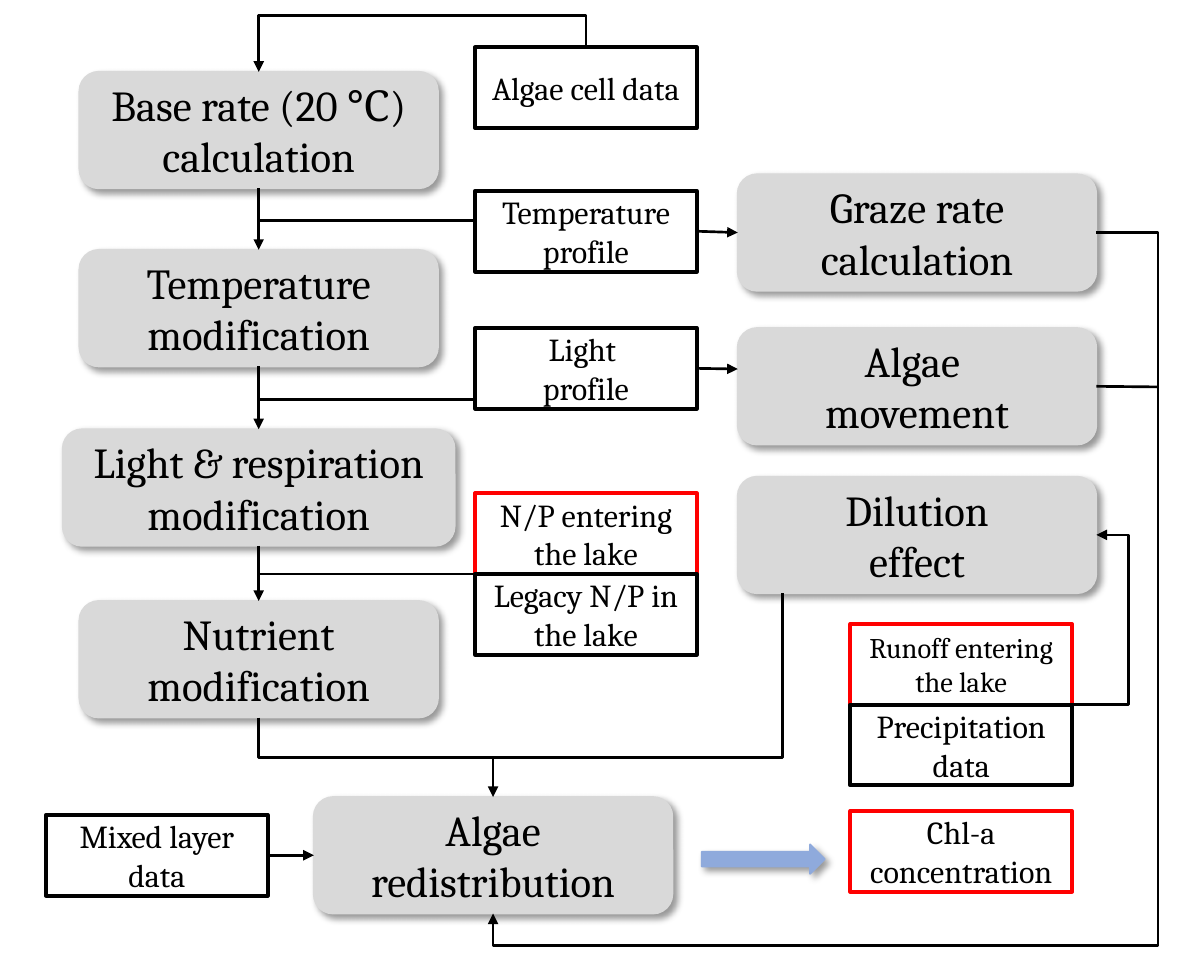
"""Builds the flow chart of an algae growth model on one slide."""
from dataclasses import dataclass
from typing import NamedTuple

from lxml import etree
from pptx import Presentation
from pptx import util as u
from pptx.dml import color
from pptx.enum import shapes, text
from pptx.oxml import ns

COLORS = {
    "black": "000000",
    "white": "FFFFFF",
    "red": "FF0000",
    "gray": "D9D9D9",
    "blue": "8FAADC",
}
FONT = "Cambria"
TOP, LEFT, BOTTOM, RIGHT = range(4)
MAIN_X, DATA_X, SIDE_X, RESULT_X = 0.62, 3.71, 5.76, 6.64
MAIN_AXIS, MERGE_Y, RETURN_X = 2.02, 5.91, 9.04


class Point(NamedTuple):
    x: float
    y: float


class Site(NamedTuple):
    box: str
    side: int


@dataclass(frozen=True)
class Box:
    key: str
    words: str
    left: float
    top: float
    width: float
    height: float
    fill: str
    edge: str
    edge_width: float
    size: int
    preset: shapes.MSO_SHAPE = shapes.MSO_SHAPE.RECTANGLE
    shadow: bool = False


@dataclass(frozen=True)
class Link:
    start: Point | Site
    end: Point | Site
    arrow: bool = True
    bends: tuple[float, ...] = ()
    vertical: bool = False


def step(key: str, words: str, left: float, top: float, width: float = 2.8) -> Box:
    return Box(key, words, left, top, width, 0.91, "gray", "gray", 1, 24,
               shapes.MSO_SHAPE.ROUNDED_RECTANGLE, True)


def data(key: str, words: str, left: float, top: float,
         edge: str = "black", size: int = 18) -> Box:
    return Box(key, words, left, top, 1.73, 0.63, "white", edge, 2.25, size)


BOXES = [
    step("base", "Base rate (20 ℃) calculation", MAIN_X, 0.56),
    step("temperature", "Temperature modification", MAIN_X, 1.95),
    step("light", "Light & respiration\nmodification", 0.49, 3.35, 3.06),
    step("nutrient", "Nutrient\nmodification", MAIN_X, 4.69),
    step("graze", "Graze rate calculation", SIDE_X, 1.36),
    step("movement", "Algae \nmovement", SIDE_X, 2.56),
    step("dilution", "Dilution\neffect", SIDE_X, 3.72),
    step("redistribution", "Algae redistribution", 2.45, 6.22),
    data("cells", "Algae cell data", DATA_X, 0.37),
    data("temperature data", "Temperature profile", DATA_X, 1.49),
    data("light data", "Light \nprofile", DATA_X, 2.56),
    data("entering", "N/P entering the lake", DATA_X, 3.85, "red"),
    data("legacy", "Legacy N/P in the lake", DATA_X, 4.48),
    data("runoff", "Runoff entering the lake", RESULT_X, 4.87, "red", 16),
    data("precipitation", "Precipitation data", RESULT_X, 5.5),
    data("mixed", "Mixed layer\ndata", 0.36, 6.36),
    data("chlorophyll", "Chl-a concentration", RESULT_X, 6.33, "red"),
    Box("output", "", 5.48, 6.59, 0.96, 0.23, "blue", "blue", 1, 18,
        shapes.MSO_SHAPE.RIGHT_ARROW, True),
]
CHAIN = ["base", "temperature", "light", "nutrient"]
LINKS = [
    *(Link(Site(a, BOTTOM), Site(b, TOP)) for a, b in zip(CHAIN, CHAIN[1:])),
    *(Link(Point(DATA_X, y), Point(MAIN_AXIS, y), False) for y in (1.72, 3.12, 4.48)),
    Link(Site("temperature data", RIGHT), Site("graze", LEFT)),
    Link(Site("light data", RIGHT), Point(SIDE_X, 2.88)),
    Link(Site("mixed", RIGHT), Site("redistribution", LEFT)),
    Link(Site("movement", RIGHT), Point(RETURN_X, 3.02), False),
    Link(Site("cells", TOP), Site("base", TOP), True, (0.12,), True),
    Link(Point(8.37, 5.5), Site("dilution", RIGHT), True, (5.5, 8.81), True),
    Link(Site("nutrient", BOTTOM), Site("redistribution", TOP), True, (MERGE_Y,), True),
    Link(Point(6.11, 4.63), Point(3.85, MERGE_Y), False, (MERGE_Y,), True),
    Link(Site("graze", RIGHT), Site("redistribution", BOTTOM), True, (RETURN_X, 7.38)),
]


def rgb(name: str) -> color.RGBColor:
    return color.RGBColor.from_string(COLORS[name])


def write(shape, words: str, *, size: int, ink: str = "black", font: str = FONT) -> None:
    frame = shape.text_frame
    frame.word_wrap = True
    frame.vertical_anchor = text.MSO_ANCHOR.MIDDLE
    for index, line in enumerate(words.split("\n")):
        para = frame.add_paragraph() if index else frame.paragraphs[0]
        para.alignment = text.PP_ALIGN.CENTER
        span = para.add_run()
        span.text = line
        span.font.name = font
        span.font.size = u.Pt(size)
        span.font.color.rgb = rgb(ink)


def add_shadow(shape) -> None:
    effects = shape._element.spPr.find(ns.qn("a:effectLst"))
    outer = etree.SubElement(effects, ns.qn("a:outerShdw"), blurRad=str(u.Pt(4)),
                             dist=str(u.Pt(3)), dir="2700000", algn="tl", rotWithShape="0")
    tint = etree.SubElement(outer, ns.qn("a:srgbClr"), val=COLORS["black"])
    etree.SubElement(tint, ns.qn("a:alpha"), val="40000")


def draw_box(page, box: Box):
    shape = page.shapes.add_shape(box.preset, u.Inches(box.left), u.Inches(box.top),
                                  u.Inches(box.width), u.Inches(box.height))
    shape.fill.solid()
    shape.fill.fore_color.rgb = rgb(box.fill)
    shape.line.color.rgb = rgb(box.edge)
    shape.line.width = u.Pt(box.edge_width)
    shape.shadow.inherit = False
    if box.shadow:
        add_shadow(shape)
    if box.words:
        write(shape, box.words, size=box.size)
    return shape


def locate(place: Point | Site, boxes: dict[str, Box]) -> Point:
    if isinstance(place, Point):
        return place
    box = boxes[place.box]
    across, down = [(0.5, 0), (0, 0.5), (0.5, 1), (1, 0.5)][place.side]
    return Point(box.left + across * box.width, box.top + down * box.height)


def bend(line, link: Link, start: Point, end: Point) -> None:
    properties = line._element.spPr
    if link.vertical:
        properties.find(ns.qn("a:xfrm")).set("rot", "5400000")
    geometry = properties.find(ns.qn("a:prstGeom"))
    geometry.set("prst", f"bentConnector{len(link.bends) + 2}")
    guides = geometry.find(ns.qn("a:avLst"))
    for index, level in enumerate(link.bends):
        axis = (index + link.vertical) % 2
        share = (level - start[axis]) / (end[axis] - start[axis])
        etree.SubElement(guides, ns.qn("a:gd"), name=f"adj{index + 1}",
                         fmla=f"val {round(share * 100000)}")


def draw_link(page, link: Link, boxes: dict[str, Box], drawn: dict) -> None:
    start, end = locate(link.start, boxes), locate(link.end, boxes)
    first, last = start, end
    if link.vertical:
        middle = Point((start.x + end.x) / 2, (start.y + end.y) / 2)
        half_x, half_y = (end.x - start.x) / 2, (end.y - start.y) / 2
        first = Point(middle.x - half_y, middle.y + half_x)
        last = Point(middle.x + half_y, middle.y - half_x)
    kind = shapes.MSO_CONNECTOR.ELBOW if link.bends else shapes.MSO_CONNECTOR.STRAIGHT
    line = page.shapes.add_connector(kind, *(u.Inches(v) for v in (*first, *last)))
    line.line.color.rgb = rgb("black")
    line.line.width = u.Pt(1.5)
    properties = line._element.spPr
    if link.arrow:
        etree.SubElement(properties.find(ns.qn("a:ln")), ns.qn("a:tailEnd"), type="triangle")
    etree.SubElement(properties, ns.qn("a:effectLst"))
    if link.bends:
        bend(line, link, start, end)
        return
    if isinstance(link.start, Site):
        line.begin_connect(drawn[link.start.box], link.start.side)
    if isinstance(link.end, Site):
        line.end_connect(drawn[link.end.box], link.end.side)


def main() -> None:
    deck = Presentation()
    deck.slide_width, deck.slide_height = u.Inches(9.4), u.Inches(7.5)
    page = deck.slides.add_slide(deck.slide_layouts[6])
    boxes = {box.key: box for box in BOXES}
    drawn = {box.key: draw_box(page, box) for box in BOXES}
    for link in LINKS:
        draw_link(page, link, boxes, drawn)
    deck.save("out.pptx")


if __name__ == "__main__":
    main()
